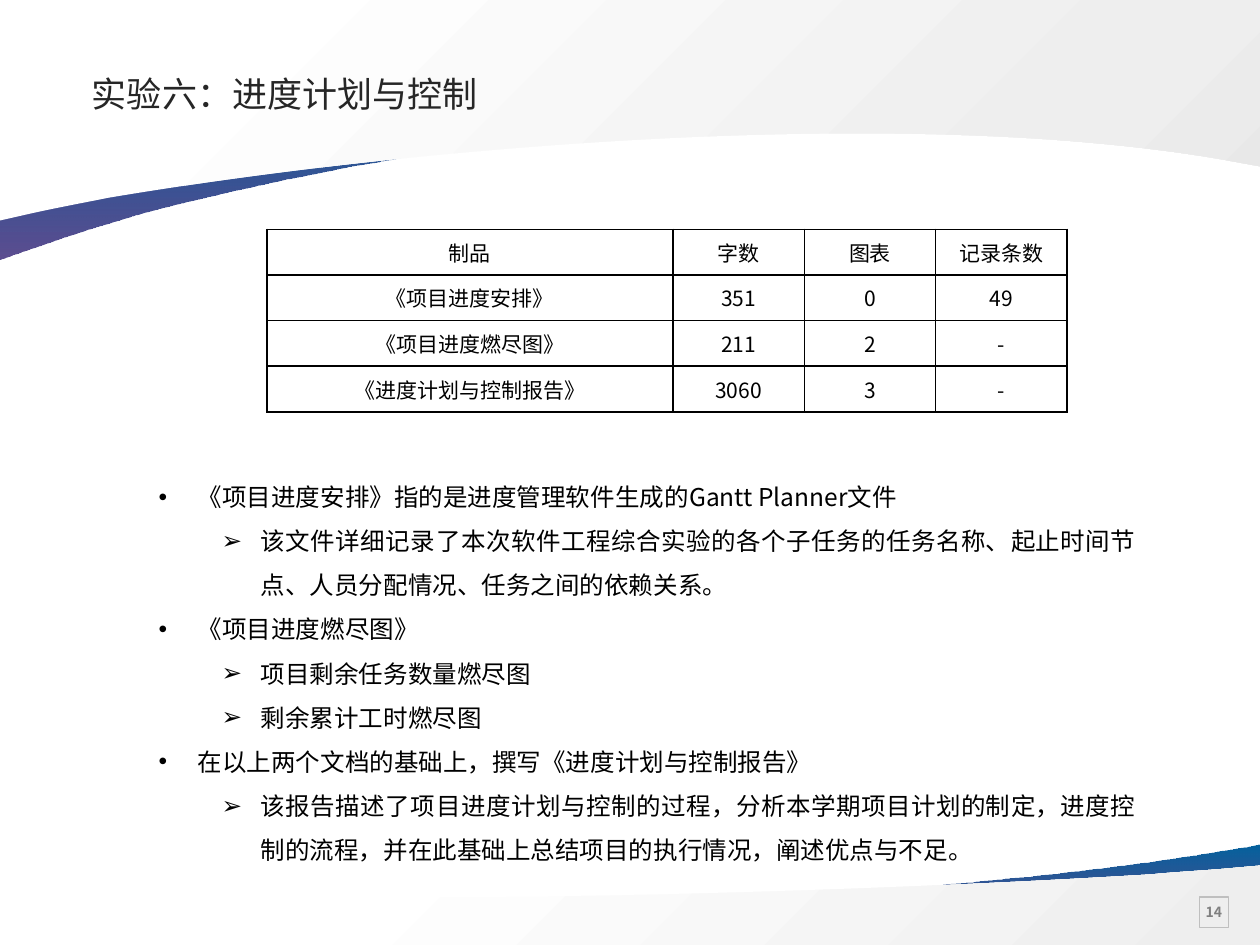
from dataclasses import dataclass

from lxml.etree import SubElement
from pptx import Presentation
from pptx.dml.color import RGBColor
from pptx.enum.shapes import MSO_SHAPE
from pptx.enum.text import MSO_ANCHOR, MSO_AUTO_SIZE, PP_ALIGN
from pptx.oxml import parse_xml
from pptx.oxml.ns import nsdecls, qn
from pptx.util import Inches, Pt

FONT = "Noto Sans CJK SC"
COLORS = {
    "black": "000000", "title": "262626", "number": "808080", "frame": "BFBFBF",
    "blue": "04619D", "purple": "342275",
    "white": "FFFFFF", "pale": "EEEEEE", "grey": "E8E8E8",
}


@dataclass
class Band:
    """A curved band: steps of 2 numbers are corners, of 6 are Bezier curves."""
    outline: list[tuple[float, ...]]
    stops: list[tuple[int, str, int]]  # position %, colour, opacity %
    angle: int


@dataclass
class Bullet:
    text: str
    level: int = 0


RIBBON = [(0, "blue", 100), (100, "purple", 80)]
BANDS = [
    # Bottom ribbon and grey foot
    Band([(10, 6.7), (10, 7.35), (0, 7.35), (0, 7.08), (0.01, 7.08),
          (2.26, 7.41, 6.15, 7.17, 8.39, 6.93), (8.84, 6.88, 9.35, 6.81, 9.89, 6.72)],
         RIBBON, 90),
    Band([(10, 6.87), (10, 7.12), (10, 7.15), (10, 7.5), (0, 7.5), (0, 7.15),
          (0, 7.12), (0, 7.03), (0.33, 7.05),
          (2.94, 7.21, 6.83, 7.08, 9.14, 6.94), (9.34, 6.92, 9.56, 6.91, 9.78, 6.89)],
         [(26, "white", 100), (100, "pale", 100)], 45),
    # Top ribbon and grey head
    Band([(0, 2.06), (0, 0.66), (10, 0.66), (10, 1.24), (9.99, 1.23),
          (7.74, 0.53, 3.85, 1.03, 1.61, 1.57), (1.16, 1.67, 0.65, 1.83, 0.11, 2.02)],
         RIBBON, 90),
    Band([(0, 1.75), (0, 1.05), (0, 0.99), (0, 0), (10, 0), (10, 0.99),
          (10, 1.05), (10, 1.32), (9.67, 1.26),
          (7.06, 0.82, 3.17, 1.18, 0.86, 1.57), (0.66, 1.61, 0.44, 1.65, 0.22, 1.7)],
         [(17, "white", 100), (81, "pale", 100), (100, "grey", 100)], 45),
]
TABLE_WIDTH, TABLE_HEIGHT = 6.35, 1.45
ARTIFACT_WIDTH = 3.22
ARTIFACTS = [
    ("制品", "字数", "图表", "记录条数"),
    ("《项目进度安排》", "351", "0", "49"),
    ("《项目进度燃尽图》", "211", "2", "-"),
    ("《进度计划与控制报告》", "3060", "3", "-"),
]
BULLETS = [
    Bullet("《项目进度安排》指的是进度管理软件生成的Gantt Planner文件"),
    Bullet("该文件详细记录了本次软件工程综合实验的各个子任务的任务名称、起止时间节点、"
           "人员分配情况、任务之间的依赖关系。", 1),
    Bullet("《项目进度燃尽图》"),
    Bullet("项目剩余任务数量燃尽图", 1),
    Bullet("剩余累计工时燃尽图", 1),
    Bullet("在以上两个文档的基础上，撰写《进度计划与控制报告》"),
    Bullet("该报告描述了项目进度计划与控制的过程，分析本学期项目计划的制定，进度控制的流程，"
           "并在此基础上总结项目的执行情况，阐述优点与不足。", 1),
]
BULLET_STYLES = [("•", 0.31), ("➢", 0.81)]  # character and indent per level


def write(paragraph, text: str, *, size: float, color: str = "black",
          bold: bool = False, align=PP_ALIGN.CENTER, spacing: float = 1.0) -> None:
    paragraph.alignment = align
    paragraph.line_spacing = spacing
    paragraph.space_before = Pt(0)
    run = paragraph.add_run()
    run.text = text
    run.font.size = Pt(size)
    run.font.bold = bold
    run.font.color.rgb = RGBColor.from_string(COLORS[color])
    run.font.name = FONT
    SubElement(run.font._element, qn("a:ea"), typeface=FONT)


def place(shape, left: float, top: float, width: float, height: float) -> None:
    shape.left, shape.top = Inches(left), Inches(top)
    shape.width, shape.height = Inches(width), Inches(height)


def bend(shape, outline: list[tuple[float, ...]]) -> None:
    """Turn the straight segments that stand for curves into Bezier curves."""
    segments = list(shape._element.spPr.iter(qn("a:lnTo")))
    for segment, step in zip(segments, outline[1:]):
        if len(step) == 6:
            segment.tag = qn("a:cubicBezTo")
            controls = [SubElement(segment, qn("a:pt"),
                                   x=str(Inches(x) - shape.left),
                                   y=str(Inches(y) - shape.top))
                        for x, y in (step[:2], step[2:4])]
            for position, control in enumerate(controls):
                segment.insert(position, control)


def draw_band(slide, band: Band) -> None:
    start, *ends = [(Inches(step[-2]), Inches(step[-1])) for step in band.outline]
    builder = slide.shapes.build_freeform(*start)
    builder.add_line_segments(ends, close=True)
    shape = builder.convert_to_shape()
    bend(shape, band.outline)
    shape.shadow.inherit = False
    shape.line.fill.background()
    stops = "".join(
        f'<a:gs pos="{pos * 1000}"><a:srgbClr val="{COLORS[color]}">'
        f'<a:alpha val="{opacity * 1000}"/></a:srgbClr></a:gs>'
        for pos, color, opacity in band.stops)
    gradient = parse_xml(
        f'<a:gradFill {nsdecls("a")} rotWithShape="1"><a:gsLst>{stops}</a:gsLst>'
        f'<a:lin ang="{band.angle * 60000}" scaled="0"/></a:gradFill>')
    shape._element.spPr.find(qn("a:custGeom")).addnext(gradient)


def draw_page_number(slide, number: str) -> None:
    box = slide.shapes.add_shape(MSO_SHAPE.RECTANGLE, Inches(9.52), Inches(7.12),
                                 Inches(0.23), Inches(0.24))
    box.shadow.inherit = False
    box.fill.background()
    box.line.color.rgb = RGBColor.from_string(COLORS["frame"])
    box.line.width = Pt(0.75)
    frame = box.text_frame
    frame.word_wrap = False
    frame.vertical_anchor = MSO_ANCHOR.MIDDLE
    frame.margin_left = frame.margin_right = Inches(0.08)
    frame.margin_top = frame.margin_bottom = Inches(0.08)
    write(frame.paragraphs[0], number, size=8, color="number", bold=True)


def draw_title(title, text: str) -> None:
    place(title, 0.65, 0.47, 7.76, 0.58)
    frame = title.text_frame
    frame.auto_size = MSO_AUTO_SIZE.NONE
    frame.vertical_anchor = MSO_ANCHOR.MIDDLE
    frame.margin_left, frame.margin_right = Inches(0.08), 0
    write(frame.paragraphs[0], text, size=20, color="title",
          align=PP_ALIGN.LEFT, spacing=0.9)


def format_cell(cell, text: str) -> None:
    cell.vertical_anchor = MSO_ANCHOR.MIDDLE
    cell.margin_left = cell.margin_right = Inches(0.07)
    cell.margin_top = cell.margin_bottom = 0
    cell.fill.background()
    write(cell.text_frame.paragraphs[0], text, size=12)
    for i, side in enumerate(("lnL", "lnR", "lnT", "lnB")):
        border = parse_xml(
            f'<a:{side} {nsdecls("a")} w="{Pt(1)}"><a:solidFill>'
            f'<a:srgbClr val="{COLORS["black"]}"/></a:solidFill></a:{side}>')
        cell._tc.get_or_add_tcPr().insert(i, border)


def draw_artifacts(slide) -> None:
    counts = len(ARTIFACTS[0]) - 1
    table = slide.shapes.add_table(
        len(ARTIFACTS), counts + 1, Inches(2.12), Inches(1.82),
        Inches(TABLE_WIDTH), Inches(TABLE_HEIGHT)).table
    table.first_row = table.horz_banding = False
    widths = [ARTIFACT_WIDTH] + [(TABLE_WIDTH - ARTIFACT_WIDTH) / counts] * counts
    for column, width in zip(table.columns, widths):
        column.width = Inches(width)
    for r, values in enumerate(ARTIFACTS):
        for c, value in enumerate(values):
            format_cell(table.cell(r, c), value)


def draw_bullets(body) -> None:
    place(body, 1.16, 3.66, 7.96, 3.25)
    frame = body.text_frame
    frame.auto_size = MSO_AUTO_SIZE.NONE
    for i, bullet in enumerate(BULLETS):
        paragraph = frame.add_paragraph() if i else frame.paragraphs[0]
        paragraph.level = bullet.level
        write(paragraph, bullet.text, size=14, align=PP_ALIGN.JUSTIFY, spacing=1.5)
        char, indent = BULLET_STYLES[bullet.level]
        properties = paragraph._p.get_or_add_pPr()
        properties.set("marL", str(Inches(indent)))
        properties.set("indent", str(Inches(-0.31)))
        SubElement(properties, qn("a:buChar"), char=char)


def main() -> None:
    deck = Presentation()
    deck.slide_width, deck.slide_height = Inches(10), Inches(7.5)
    slide = deck.slides.add_slide(deck.slide_layouts[1])
    title, body = slide.placeholders
    # Background
    for band in BANDS:
        draw_band(slide, band)
    draw_page_number(slide, "14")
    # Content, with the placeholders raised above the bands
    slide.shapes._spTree.append(title._element)
    draw_title(title, "实验六：进度计划与控制")
    draw_artifacts(slide)
    slide.shapes._spTree.append(body._element)
    draw_bullets(body)
    deck.save("out.pptx")


if __name__ == "__main__":
    main()
